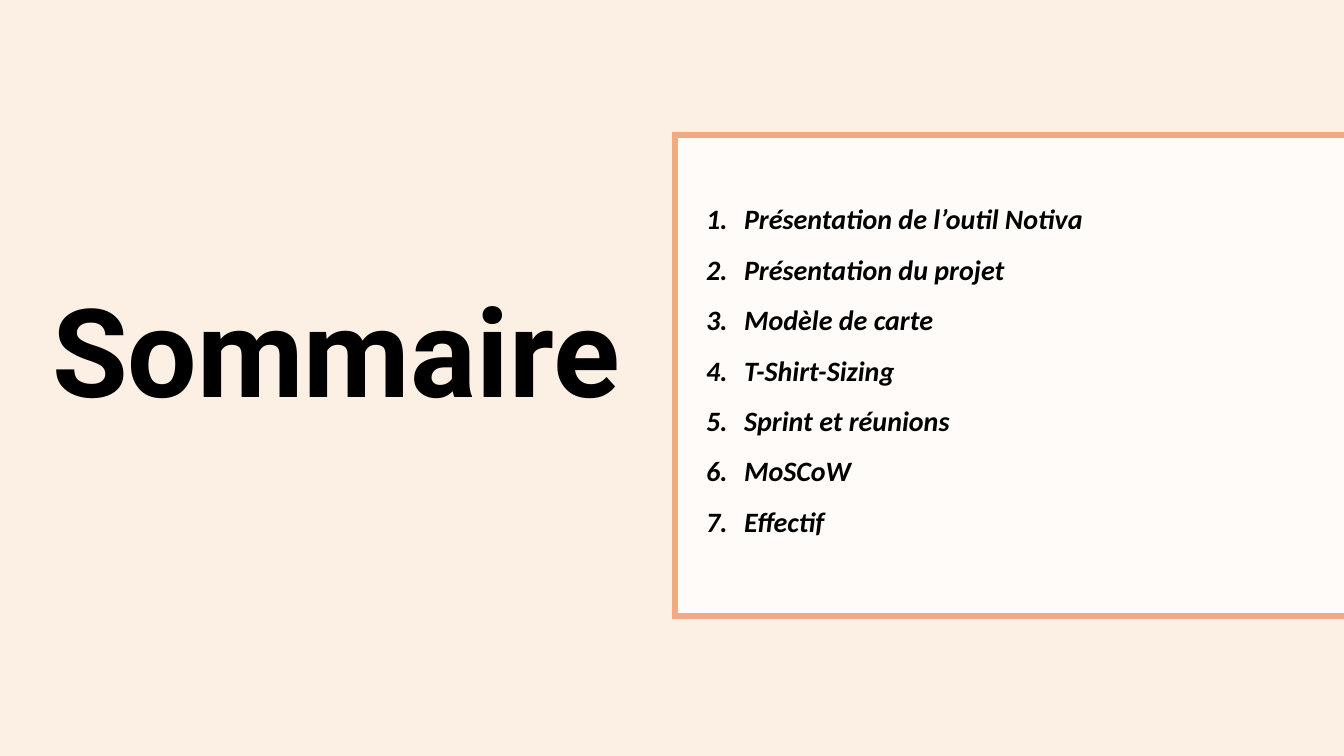
from pptx import Presentation
from pptx import util as u
from pptx.dml import color
from pptx.enum import shapes, text
from pptx.oxml import ns
from lxml import etree

EMU_PER_PX = 914400 / 100.8
SLIDE_WIDTH, SLIDE_HEIGHT = 1344, 756
BACKGROUND, PANEL, ACCENT, INK = "FBF0E3", "FEFBF8", "F2AA84", "000000"
TOPICS = [
    "Présentation de l’outil Notiva",
    "Présentation du projet",
    "Modèle de carte",
    "T-Shirt-Sizing",
    "Sprint et réunions",
    "MoSCoW",
    "Effectif",
]


def px(length):
    return u.Emu(round(length * EMU_PER_PX))


def rgb(value):
    return color.RGBColor.from_string(value)


def place(shape, left, top, width, height):
    shape.left, shape.top = px(left), px(top)
    shape.width, shape.height = px(width), px(height)


def write(paragraph, content, *, size, font, spacing, align, italic=False):
    paragraph.alignment = align
    paragraph.line_spacing = spacing
    paragraph.space_before = paragraph.space_after = u.Pt(0)
    run = paragraph.add_run()
    run.text = content
    run.font.size = u.Pt(size)
    run.font.name = font
    run.font.bold = True
    run.font.italic = italic
    run.font.color.rgb = rgb(INK)


def number(paragraph, indent):
    properties = paragraph._p.get_or_add_pPr()
    properties.set("marL", str(px(indent)))
    properties.set("indent", str(-px(indent)))
    etree.SubElement(properties, ns.qn("a:buFont"), typeface="+mj-lt")
    etree.SubElement(properties, ns.qn("a:buAutoNum"), type="arabicPeriod")


def add_border(slide, start, end):
    connector = slide.shapes.add_connector(
        shapes.MSO_CONNECTOR.STRAIGHT, *map(px, start + end))
    connector.line.color.rgb = rgb(ACCENT)
    connector.line.width = u.Pt(4)
    etree.SubElement(connector._element.spPr, ns.qn("a:effectLst"))


def add_heading(slide, left, top, width, height):
    title = slide.shapes.title
    place(title, left, top, width, height)
    frame = title.text_frame
    frame.auto_size = text.MSO_AUTO_SIZE.NONE
    frame.vertical_anchor = text.MSO_ANCHOR.BOTTOM
    write(frame.paragraphs[0], "Sommaire", size=88, font="Roboto",
          spacing=0.9, align=text.PP_ALIGN.CENTER)


def add_panel(slide, left, top, width, height):
    right, bottom = left + width, top + height
    panel = slide.shapes.add_shape(
        shapes.MSO_SHAPE.RECTANGLE, *map(px, (left + 6, top, width - 6, height)))
    panel.shadow.inherit = False
    panel.fill.solid()
    panel.fill.fore_color.rgb = rgb(PANEL)
    panel.line.fill.background()
    add_border(slide, (left + 3, top), (left + 3, bottom))
    for y in (top, bottom):
        add_border(slide, (left, y), (right, y))


def add_topics(slide, left, top, width, height):
    body = slide.placeholders[1]
    place(body, left + 24, top + 45, width - 24, height - 45)
    slide.shapes._spTree.append(body._element)
    frame = body.text_frame
    frame.auto_size = text.MSO_AUTO_SIZE.NONE
    frame.vertical_anchor = text.MSO_ANCHOR.TOP
    for index, topic in enumerate(TOPICS):
        paragraph = frame.add_paragraph() if index else frame.paragraphs[0]
        write(paragraph, topic, size=20, font="Calibri", spacing=1.5,
              align=text.PP_ALIGN.LEFT, italic=True)
        number(paragraph, 38)


def main():
    presentation = Presentation()
    presentation.slide_width = px(SLIDE_WIDTH)
    presentation.slide_height = px(SLIDE_HEIGHT)
    slide = presentation.slides.add_slide(presentation.slide_layouts[1])
    slide.background.fill.solid()
    slide.background.fill.fore_color.rgb = rgb(BACKGROUND)
    middle = SLIDE_WIDTH // 2
    agenda_box = (middle, 135, SLIDE_WIDTH - middle, 481)
    add_heading(slide, 0, 0, middle, 429)
    add_panel(slide, *agenda_box)
    add_topics(slide, *agenda_box)
    presentation.save("out.pptx")


if __name__ == "__main__":
    main()
